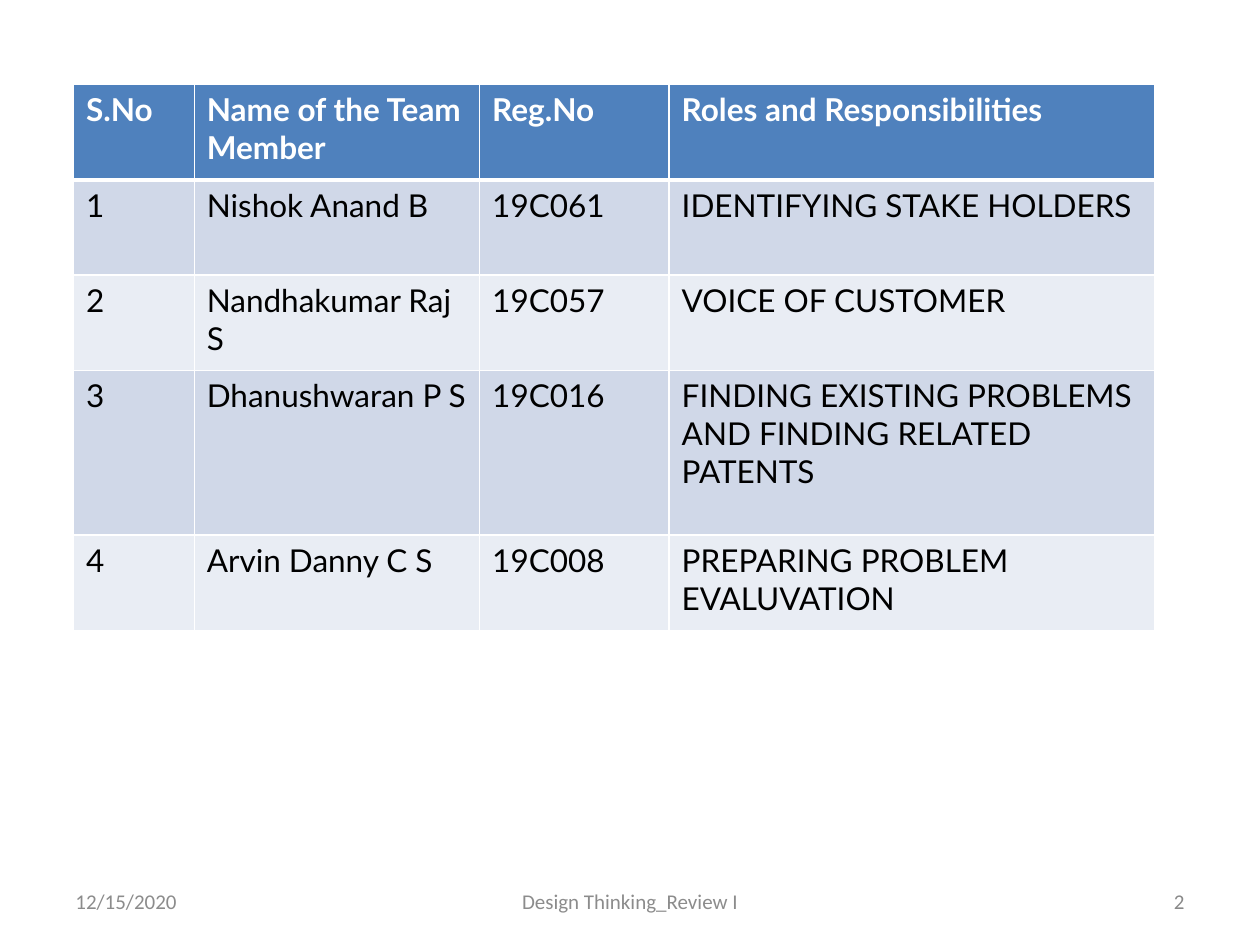
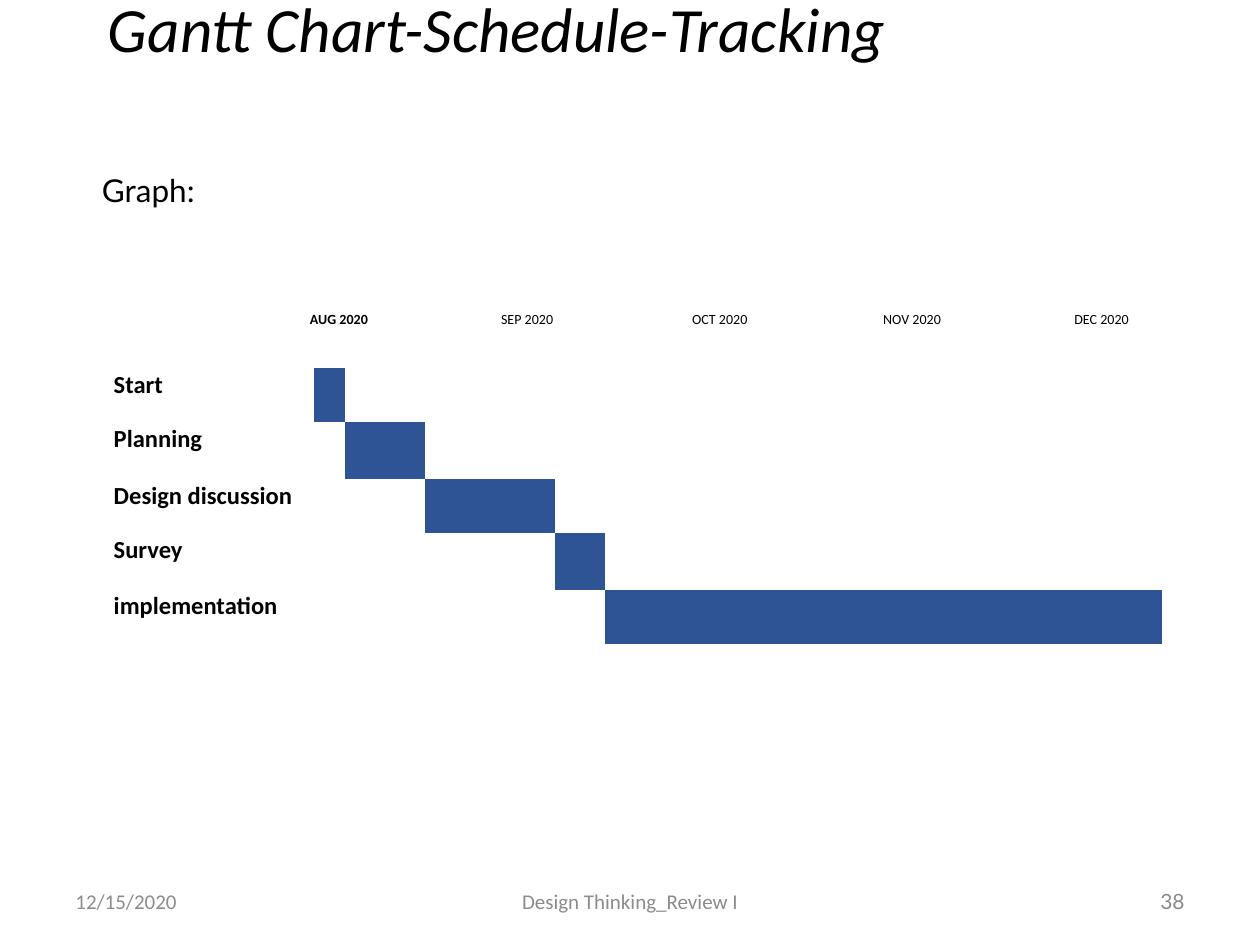
from dataclasses import dataclass

from lxml import etree
from pptx import Presentation
from pptx.dml import color
from pptx.enum import text as t
from pptx.oxml import ns
from pptx.util import Pt

BLACK, WHITE = "000000", "FFFFFF"
FOOTER_GREY, NUMBER_GREY = "8C8C8C", "898989"
HEADER_BLUE, BAND_DARK, BAND_LIGHT = "4F81BD", "D0D8E8", "E9EDF4"
BAR_BLUE = "2F5496"
PLAIN_TABLE = "{2D5ABB26-0587-4C30-8999-92F81FD0307C}"
LEFT, CENTER, RIGHT = t.PP_ALIGN.LEFT, t.PP_ALIGN.CENTER, t.PP_ALIGN.RIGHT


@dataclass(frozen=True)
class Box:
    left: float
    top: float
    width: float
    height: float

    def lengths(self):
        return Pt(self.left), Pt(self.top), Pt(self.width), Pt(self.height)


@dataclass(frozen=True)
class Style:
    size: float
    font: str = "Calibri"
    ink: str = BLACK
    bold: bool = False
    italic: bool = False


@dataclass(frozen=True)
class Phase:
    name: str
    first: int
    last: int


FOOTER = Style(12, ink=FOOTER_GREY)
HEADING = Style(36, italic=True)
HEADER_CELL = Style(18, "Lato", WHITE, bold=True)
BODY = Style(18, "Lato")
PHASE_LABEL = Style(14, bold=True)

MEMBERS = [
    ["S.No", "Name of the Team Member", "Reg.No", "Roles and Responsibilities"],
    ["1", "Nishok Anand B", "19C061", "IDENTIFYING STAKE HOLDERS"],
    ["2", "Nandhakumar Raj S", "19C057", "VOICE OF CUSTOMER"],
    ["3", "Dhanushwaran P S", "19C016",
     "FINDING EXISTING PROBLEMS\nAND FINDING RELATED PATENTS"],
    ["4", "Arvin Danny C S", "19C008", "PREPARING PROBLEM EVALUVATION"],
]
MEMBER_COLUMNS = [69, 163.1, 108.3, 277.3]
MEMBER_ROWS = [54.5, 54.5, 54.5, 94, 54.5]

PHASES = [
    Phase("Start", 1, 1),
    Phase("Planning", 2, 2),
    Phase("Design discussion", 3, 3),
    Phase("Survey", 4, 4),
    Phase("implementation", 5, 7),
]
PHASE_COLUMNS = [119.7, 17.2, 45.8, 74.2, 28.6, 147, 13, 154.2, 13]
PHASE_ROWS = [30.9, 32.4, 30.9, 32.4, 30.9]
MONTHS = ["AUG 2020", "SEP 2020", "OCT 2020", "NOV 2020", "DEC 2020"]
MONTH_LEFT, MONTH_STEP = 170, 109.2


def rgb(value: str) -> color.RGBColor:
    return color.RGBColor.from_string(value)


def write(frame, content: str, style: Style, align=LEFT, spacing=None,
          indent=None, after=None) -> None:
    for number, line in enumerate(content.split("\n")):
        paragraph = frame.add_paragraph() if number else frame.paragraphs[0]
        if indent is not None:
            properties = paragraph._p.get_or_add_pPr()
            properties.set("marL", str(Pt(indent)))
            properties.set("indent", "0")
            etree.SubElement(properties, ns.qn("a:buNone"))
            paragraph.space_before = Pt(0)
        paragraph.alignment = align
        if spacing:
            paragraph.line_spacing = spacing
        if after is not None:
            paragraph.space_after = Pt(after)
        run = paragraph.add_run()
        run.text = line
        run.font.size = Pt(style.size)
        run.font.name = style.font
        run.font.bold = style.bold
        run.font.italic = style.italic
        run.font.color.rgb = rgb(style.ink)


def add_label(slide, box: Box, content: str, style: Style, align=LEFT,
              anchor=t.MSO_ANCHOR.TOP, spacing=None, after=None) -> None:
    frame = slide.shapes.add_textbox(*box.lengths()).text_frame
    frame.word_wrap = True
    frame.vertical_anchor = anchor
    write(frame, content, style, align, spacing, after=after)


def add_footer(slide, number: str, number_font: str) -> None:
    middle = t.MSO_ANCHOR.MIDDLE
    add_label(slide, Box(36, 500.5, 168, 28.75), "12/15/2020", FOOTER, LEFT, middle)
    add_label(slide, Box(246, 500.5, 228, 28.75), "Design Thinking_Review I",
              FOOTER, CENTER, middle)
    add_label(slide, Box(516, 500.5, 168, 28.75), number,
              Style(12, number_font, NUMBER_GREY), RIGHT, middle)


def fill_placeholder(placeholder, box: Box, content: str, style: Style,
                     spacing: float) -> None:
    (placeholder.left, placeholder.top,
     placeholder.width, placeholder.height) = box.lengths()
    frame = placeholder.text_frame
    frame.word_wrap = True
    frame.auto_size = t.MSO_AUTO_SIZE.NONE
    frame.vertical_anchor = t.MSO_ANCHOR.TOP
    write(frame, content, style, spacing=spacing, indent=6.5)


def add_grid(slide, left: float, top: float, columns: list[float],
             rows: list[float]):
    box = Box(left, top, sum(columns), sum(rows))
    grid = slide.shapes.add_table(len(rows), len(columns), *box.lengths()).table
    grid._tbl.tblPr.find(ns.qn("a:tableStyleId")).text = PLAIN_TABLE
    for column, width in zip(grid.columns, columns):
        column.width = Pt(width)
    for row, height in zip(grid.rows, rows):
        row.height = Pt(height)
    return grid


def paint(cell, fill: str) -> None:
    cell.fill.solid()
    cell.fill.fore_color.rgb = rgb(fill)


def add_borders(cell, top: float, bottom: float) -> None:
    properties = cell._tc.get_or_add_tcPr()
    for side, width in (("L", 1), ("R", 1), ("T", top), ("B", bottom)):
        line = etree.SubElement(properties, ns.qn(f"a:ln{side}"), w=str(Pt(width)))
        solid = etree.SubElement(line, ns.qn("a:solidFill"))
        etree.SubElement(solid, ns.qn("a:srgbClr"), val=WHITE)


def build_team(deck) -> None:
    slide = deck.slides.add_slide(deck.slide_layouts[6])
    add_footer(slide, "2", "Calibri")
    grid = add_grid(slide, 42, 48.3, MEMBER_COLUMNS, MEMBER_ROWS)
    for row, member in enumerate(MEMBERS):
        band = BAND_DARK if row % 2 else BAND_LIGHT
        for column, entry in enumerate(member):
            cell = grid.cell(row, column)
            add_borders(cell, 3 if row == 1 else 1, 1 if row else 3)
            paint(cell, band if row else HEADER_BLUE)
            write(cell.text_frame, entry, BODY if row else HEADER_CELL)


def build_schedule(deck) -> None:
    slide = deck.slides.add_slide(deck.slide_layouts[1])
    add_footer(slide, "38", "Lato")
    fill_placeholder(slide.shapes.title, Box(48, -10, 647, 50),
                     "Gantt Chart-Schedule-Tracking", HEADING, 1.01)
    fill_placeholder(slide.placeholders[1], Box(44.6, 90, 612, 34),
                     "Graph:", BODY, 1.18)

    grid = add_grid(slide, 60, 210.3, PHASE_COLUMNS, PHASE_ROWS)
    for row, phase in enumerate(PHASES):
        label = grid.cell(row, 0)
        label.margin_left = label.margin_right = Pt(5)
        label.margin_top = label.margin_bottom = Pt(0)
        write(label.text_frame, phase.name, PHASE_LABEL, spacing=1.07)
        for column in range(len(PHASE_COLUMNS)):
            cell = grid.cell(row, column)
            if phase.first <= column <= phase.last:
                paint(cell, BAR_BLUE)
            else:
                cell.fill.background()

    for number, month in enumerate(MONTHS):
        add_label(slide, Box(MONTH_LEFT + number * MONTH_STEP, 173, 49, 20),
                  month, Style(8, bold=number == 0), spacing=1.07, after=8)


def main() -> None:
    deck = Presentation()
    deck.slide_width, deck.slide_height = Pt(720), Pt(540)
    build_team(deck)
    build_schedule(deck)
    deck.save("out.pptx")


if __name__ == "__main__":
    main()
